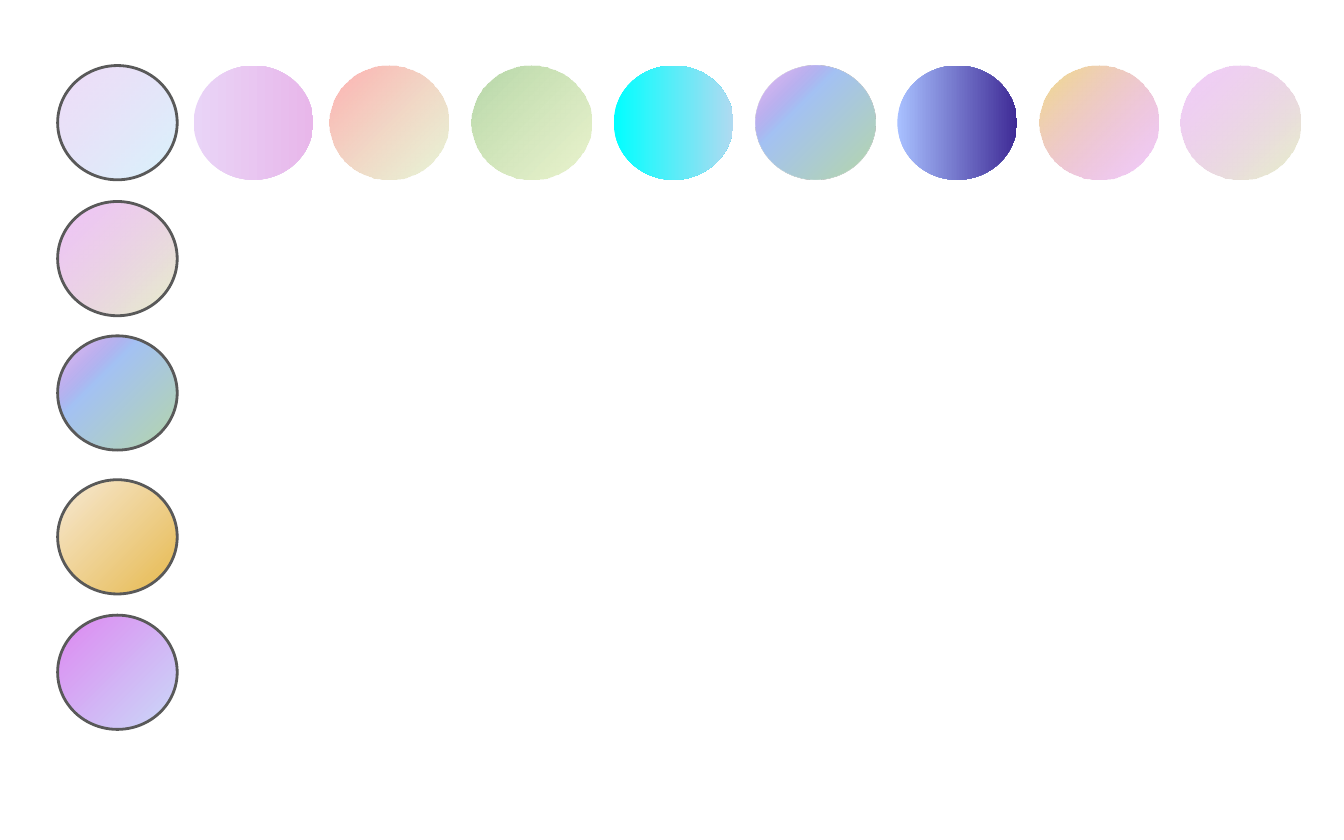
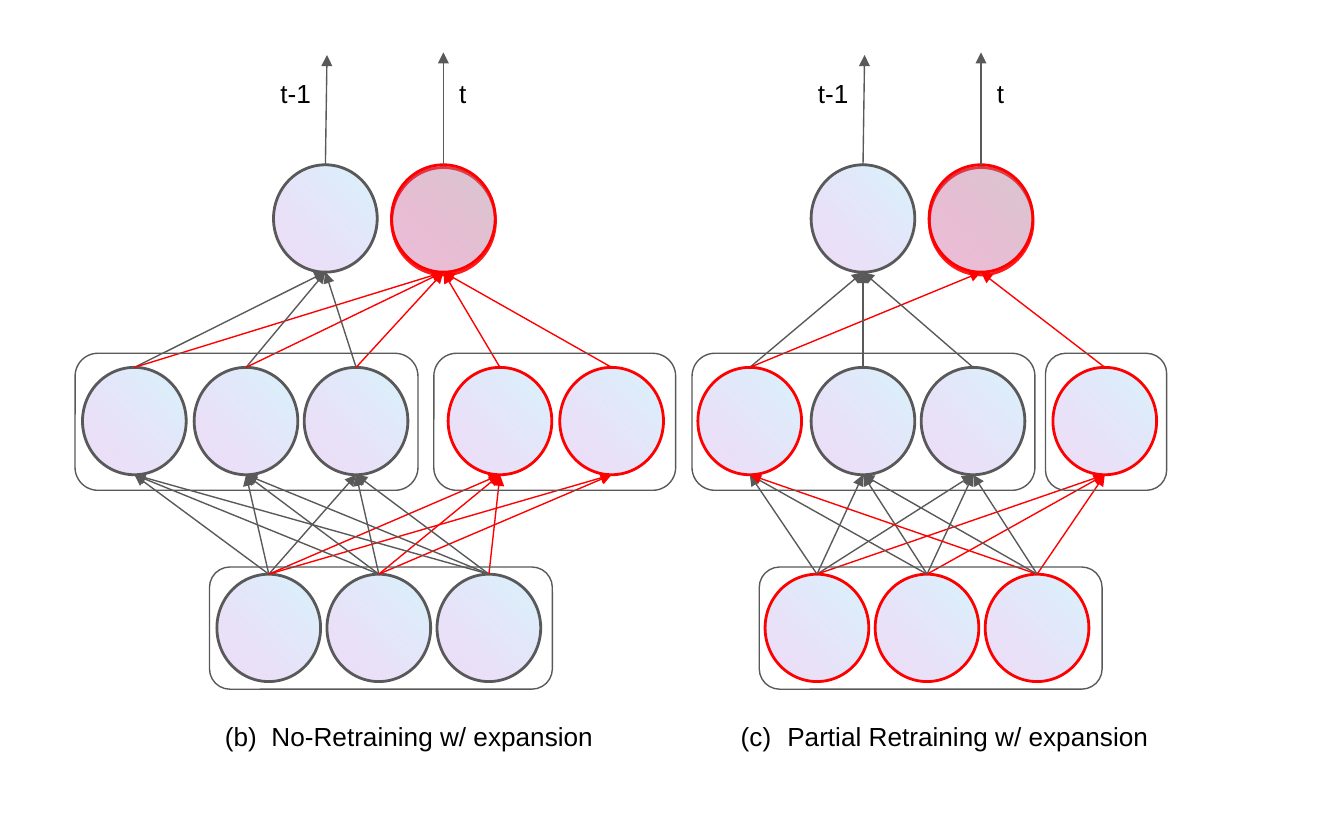
import pptx
import pptx.dml.color
import pptx.enum.shapes
import pptx.enum.text
import pptx.oxml.ns
import pptx.util
from lxml import etree

Cm = pptx.util.Cm
Pt = pptx.util.Pt
RGBColor = pptx.dml.color.RGBColor
qn = pptx.oxml.ns.qn
SHAPE = pptx.enum.shapes.MSO_SHAPE
STRAIGHT = pptx.enum.shapes.MSO_CONNECTOR.STRAIGHT

BLACK = RGBColor(0x00, 0x00, 0x00)
GREY = RGBColor(0x59, 0x59, 0x59)
RED = RGBColor(0xFF, 0x00, 0x00)
SKY = RGBColor(0x69, 0xD4, 0xF4)
PURPLE = RGBColor(0x9F, 0x39, 0xD5)
LILAC = RGBColor(0xE9, 0xD4, 0xF7)
PINK = RGBColor(0xE8, 0xB7, 0xEA)
PALE_LIME = RGBColor(0xD8, 0xED, 0xBA)
LIME = RGBColor(0xE0, 0xED, 0xBA)
CORAL = RGBColor(0xFE, 0x96, 0x96)
GREEN = RGBColor(0xB6, 0xD7, 0xA8)
CYAN = RGBColor(0x00, 0xFF, 0xFF)
ICE = RGBColor(0xB0, 0xDA, 0xF1)
BLUE = RGBColor(0xA4, 0xC2, 0xF4)
PERIWINKLE = RGBColor(0xA8, 0xC0, 0xFF)
INDIGO = RGBColor(0x3F, 0x2B, 0x96)
ORCHID = RGBColor(0xDE, 0x87, 0xF1)
YELLOW = RGBColor(0xF1, 0xDD, 0x87)
CREAM = RGBColor(0xF7, 0xE9, 0xD4)
GOLD = RGBColor(0xE6, 0xB9, 0x4E)
PALE_BLUE = RGBColor(0xC9, 0xDA, 0xF8)

NODE_FILL = [(0, SKY, 26), (100, PURPLE, 17)]
GREEN_TO_PURPLE = [(0, GREEN, 100), (64, BLUE, 100), (100, PURPLE, 17)]
FONT_FORMAT = {"name": "Arial", "size": Pt(14)}
FRAME_FORMAT = {
    "word_wrap": True,
    "auto_size": pptx.enum.text.MSO_AUTO_SIZE.SHAPE_TO_FIT_TEXT,
    "margin_left": Cm(0.25),
    "margin_right": Cm(0.25),
    "margin_top": Cm(0.25),
    "margin_bottom": Cm(0.25),
}
EDGE_COLORS = {"g": GREY, "r": RED}


def add_circle(page, left, top, width, height, stops, angle=135, outline=None):
    circle = page.shapes.add_shape(SHAPE.OVAL, Cm(left), Cm(top), Cm(width), Cm(height))
    circle.shadow.inherit = False
    circle.fill.gradient()
    circle.fill.gradient_angle = angle
    stop_list = circle._element.spPr.find(".//" + qn("a:gsLst"))
    for old_stop in list(stop_list):
        stop_list.remove(old_stop)
    for position, color, opacity in stops:
        stop = etree.SubElement(stop_list, qn("a:gs"), pos=str(position * 1000))
        tint = etree.SubElement(stop, qn("a:srgbClr"), val=str(color))
        if opacity < 100:
            etree.SubElement(tint, qn("a:alpha"), val=str(opacity * 1000))
    if outline is None:
        circle.line.fill.background()
    else:
        circle.line.color.rgb = outline
        circle.line.width = Pt(1.5)
    return circle


def add_arrow(page, start_x, start_y, end_x, end_y, color):
    arrow = page.shapes.add_connector(
        STRAIGHT, Cm(start_x), Cm(start_y), Cm(end_x), Cm(end_y))
    arrow.line.color.rgb = color
    arrow.line.width = Pt(0.75)
    etree.SubElement(arrow.line._get_or_add_ln(), qn("a:tailEnd"), type="triangle")
    etree.SubElement(arrow._element.spPr, qn("a:effectLst"))


deck = pptx.Presentation()
deck.slide_width = Cm(25.4)
deck.slide_height = Cm(15.88)
blank = deck.slide_layouts[6]

swatch_page = deck.slides.add_slide(blank)
swatch_size = (2.26, 2.16)
swatch_left, swatch_top = 1.09, 1.24
row_lefts = [3.66, 6.22] + [8.92 + 2.68 * step for step in range(6)]
row_swatches = [
    ([(0, LILAC, 100), (100, PINK, 100)], 0),
    ([(0, PALE_LIME, 58), (100, CORAL, 74)], 135),
    ([(0, LIME, 71), (100, GREEN, 100)], 135),
    ([(0, CYAN, 100), (100, ICE, 100)], 0),
    (GREEN_TO_PURPLE, 135),
    ([(0, PERIWINKLE, 100), (100, INDIGO, 100)], 0),
    ([(0, ORCHID, 40), (100, YELLOW, 100)], 135),
    ([(0, LIME, 79), (100, ORCHID, 40)], 135),
]
for left, (stops, angle) in zip(row_lefts, row_swatches):
    add_circle(swatch_page, left, swatch_top, *swatch_size, stops, angle)

column_tops = [swatch_top, 3.81, 6.35, 9.07, 11.63]
column_swatches = [
    (NODE_FILL, 135),
    ([(0, LIME, 79), (100, ORCHID, 48)], 135),
    (GREEN_TO_PURPLE, 135),
    ([(0, CREAM, 100), (100, GOLD, 100)], 315),
    ([(0, PALE_BLUE, 100), (100, ORCHID, 100)], 135),
]
for top, (stops, angle) in zip(column_tops, column_swatches):
    add_circle(swatch_page, swatch_left, top, *swatch_size, stops, angle, GREY)

network_page = deck.slides.add_slide(blank)
node_width, node_height = 2.03, 1.96
node_reach = node_width / 2
input_y, hidden_y, output_y = 11.87, 7.96, 4.13
networks = [
    {
        "inputs": [(5.08, "g"), (7.16, "g"), (9.24, "g")],
        "hidden": [(2.54, "g"), (4.65, "g"), (6.73, "g"), (9.45, "r"), (11.56, "r")],
        "outputs": [(6.15, "g"), (8.38, "r")],
        "input_edges": ["gggrr", "gggrr", "gggr-"],
        "hidden_edges": ["gr", "gr", "gr", "-r", "-r"],
        "frames": [(1.42, 6.68, 6.48, 2.59), (8.2, 6.68, 4.57, 2.59),
                   (3.96, 10.72, 6.48, 2.31)],
        "caption": ("No-Retraining w/ expansion", 3.61, 8.05, 2),
    },
    {
        "inputs": [(15.44, "r"), (17.52, "r"), (19.6, "r")],
        "hidden": [(14.17, "r"), (16.31, "g"), (18.39, "g"), (20.88, "r")],
        "outputs": [(16.31, "g"), (18.54, "r")],
        "input_edges": ["gggr", "gggr", "rggr"],
        "hidden_edges": ["gr", "g-", "g-", "-r"],
        "frames": [(13.08, 6.68, 6.48, 2.59), (19.76, 6.68, 2.29, 2.59),
                   (14.35, 10.72, 6.48, 2.31)],
        "caption": ("Partial Retraining w/ expansion", 13.36, 8.71, 3),
    },
]

for network in networks:
    layers = [(network["inputs"], input_y), (network["hidden"], hidden_y),
              (network["outputs"], output_y)]
    for nodes, center_y in layers:
        for center_x, kind in nodes:
            node = add_circle(
                network_page, center_x - node_width / 2, center_y - node_height / 2,
                node_width, node_height, NODE_FILL, outline=EDGE_COLORS[kind])
            node.rotation = 270
            if center_y == output_y and kind == "r":
                effects = node._element.spPr.find(qn("a:effectLst"))
                glow = etree.SubElement(
                    effects, qn("a:outerShdw"), blurRad="0", dist=str(Pt(1.5)),
                    dir=str(85 * 60000), algn="bl", rotWithShape="0")
                tint = etree.SubElement(glow, qn("a:srgbClr"), val=str(RED))
                etree.SubElement(tint, qn("a:alpha"), val="89000")

    edge_sets = [network["input_edges"], network["hidden_edges"]]
    for (sources, source_y), (targets, target_y), edges in zip(
            layers, layers[1:], edge_sets):
        for (source_x, _), row in zip(sources, edges):
            for (target_x, _), kind in zip(targets, row):
                if kind in EDGE_COLORS:
                    add_arrow(network_page, source_x, source_y - node_reach,
                              target_x, target_y + node_reach, EDGE_COLORS[kind])

    (old_x, _), (new_x, _) = network["outputs"]
    output_top = output_y - node_reach
    add_arrow(network_page, old_x, output_top, old_x + 0.03, 1.04, GREY)
    add_arrow(network_page, new_x, output_top, new_x, 0.99, GREY)

    for left, top, width, height in network["frames"]:
        frame = network_page.shapes.add_shape(
            SHAPE.ROUNDED_RECTANGLE, Cm(left), Cm(top), Cm(width), Cm(height))
        frame.shadow.inherit = False
        frame.fill.background()
        frame.line.color.rgb = GREY
        frame.line.width = Pt(0.75)

    caption, caption_left, caption_width, number = network["caption"]
    texts = [
        (caption, caption_left, 13.36, caption_width, number),
        ("t-1", old_x - 1.1, 1.22, 1.24, None),
        ("t", new_x + 0.05, 1.22, 0.58, None),
    ]
    for text, left, top, width, start in texts:
        box = network_page.shapes.add_textbox(Cm(left), Cm(top), Cm(width), Cm(1.12))
        for name, value in FRAME_FORMAT.items():
            setattr(box.text_frame, name, value)
        para = box.text_frame.paragraphs[0]
        if start:
            properties = para._p.get_or_add_pPr()
            properties.set("marL", str(Cm(1.27)))
            properties.set("indent", str(Cm(-0.88)))
            bullet_color = etree.SubElement(properties, qn("a:buClr"))
            etree.SubElement(bullet_color, qn("a:srgbClr"), val=str(BLACK))
            etree.SubElement(properties, qn("a:buAutoNum"),
                             type="alphaLcParenBoth", startAt=str(start))
        span = para.add_run()
        span.text = text
        for name, value in FONT_FORMAT.items():
            setattr(span.font, name, value)
        span.font.color.rgb = BLACK

deck.save("out.pptx")
